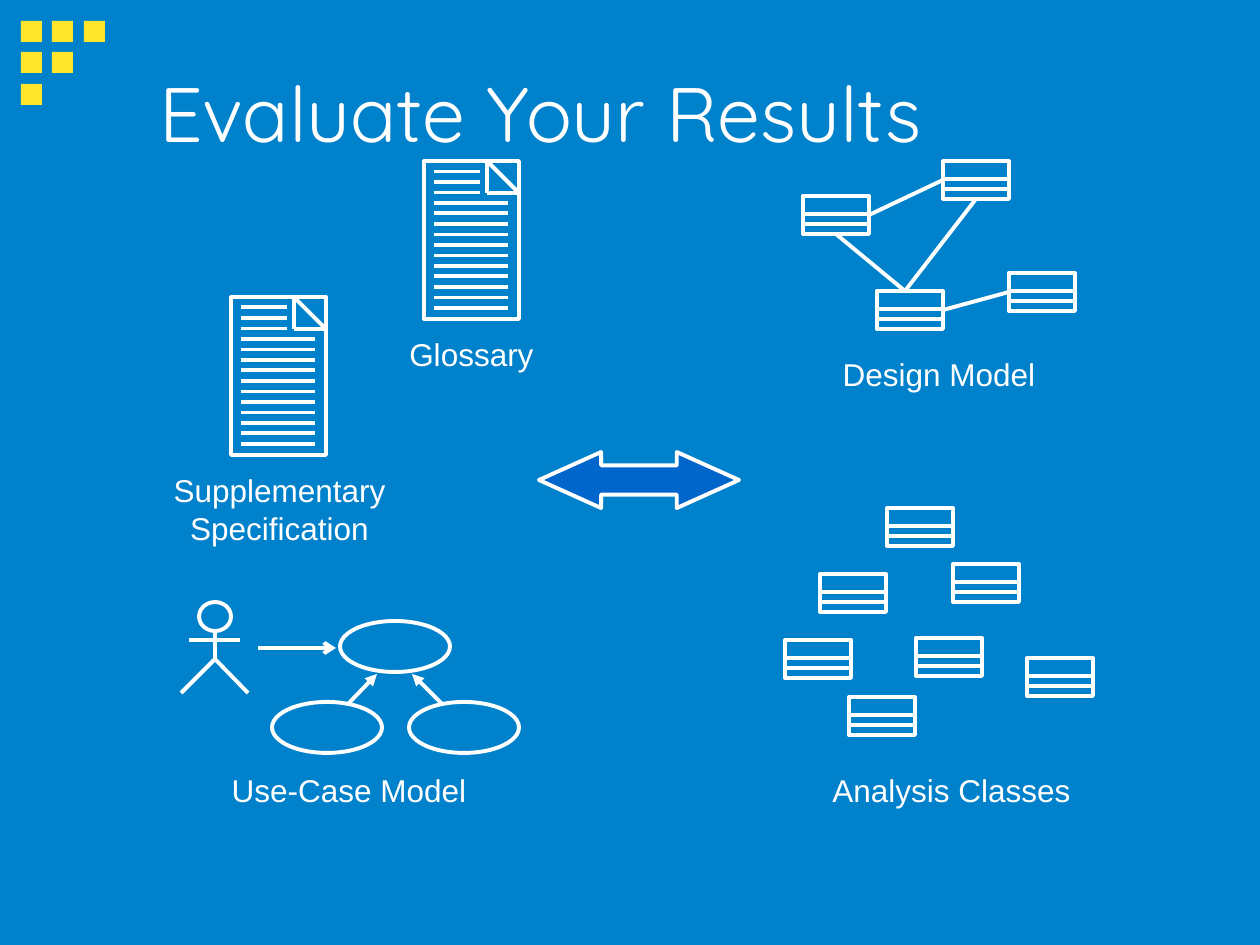
from lxml import etree
from pptx import Presentation
from pptx.dml.color import RGBColor
from pptx.enum.shapes import MSO_CONNECTOR, MSO_SHAPE
from pptx.enum.text import MSO_ANCHOR, MSO_AUTO_SIZE, PP_ALIGN
from pptx.oxml.ns import qn
from pptx.util import Emu, Pt

RECTANGLE = MSO_SHAPE.RECTANGLE
OVAL = MSO_SHAPE.OVAL
DOUBLE_ARROW = MSO_SHAPE.LEFT_RIGHT_ARROW
STRAIGHT = MSO_CONNECTOR.STRAIGHT
CENTER, LEFT = PP_ALIGN.CENTER, PP_ALIGN.LEFT
MIDDLE, TOP = MSO_ANCHOR.MIDDLE, MSO_ANCHOR.TOP
NO_AUTOFIT = MSO_AUTO_SIZE.NONE

TOP_SIDE, LEFT_SIDE, BOTTOM_SIDE, RIGHT_SIDE = range(4)
EMU_PER_PX = 914400 / 126
WHITE, BLUE, ARROW_BLUE, YELLOW = "FFFFFF", "0081CB", "0066CC", "FFE62D"
STROKE = Pt(2.25)

DESIGN_CLASSES = [(803, 196), (943, 161), (877, 291), (1009, 273)]
ANALYSIS_CLASSES = [(820, 574), (953, 564), (887, 508), (1027, 658),
                    (785, 640), (849, 697), (916, 638)]
USE_CASES = [(340, 621), (272, 702), (409, 702)]
DOCUMENTS = [(231, 297), (424, 161)]
LABELS = [
    (830, 349, 218, 50, "Design Model"),
    (820, 765, 263, 50, "Analysis Classes"),
    (161, 465, 237, 88, "Supplementary\nSpecification"),
    (397, 329, 149, 50, "Glossary"),
    (219, 765, 260, 50, "Use-Case Model"),
]


def px(length):
    """Turn pixels into EMU."""
    return Emu(round(length * EMU_PER_PX))


def paint(target, color):
    """Give a fill a solid colour, or none."""
    if color:
        target.solid()
        target.fore_color.rgb = RGBColor.from_string(color)
    else:
        target.background()


def style_shape(shape, fill=None, line=WHITE):
    """Set fill and outline, without a shadow."""
    shape.shadow.inherit = False
    paint(shape.fill, fill)
    paint(shape.line.fill, line)
    if line:
        shape.line.width = STROKE
    return shape


def add_outline(slide, kind, x, y, width, height, **style):
    """Add a preset shape."""
    shape = slide.shapes.add_shape(kind, px(x), px(y), px(width), px(height))
    return style_shape(shape, **style)


def add_line(slide, x1, y1, x2, y2, head=None):
    """Add a straight white line, with an optional arrowhead at its end."""
    line = slide.shapes.add_connector(STRAIGHT, px(x1), px(y1), px(x2), px(y2))
    paint(line.line.fill, WHITE)
    line.line.width = STROKE
    if head:
        etree.SubElement(line.line._ln, qn("a:tailEnd"), type=head)
    etree.SubElement(line._element.spPr, qn("a:effectLst"))
    return line


def write_text(frame, text, size, font, align, anchor=TOP, wrap=False, spacing=None):
    """Write formatted white paragraphs into a text frame."""
    frame.text = text
    frame.word_wrap = wrap
    frame.auto_size = NO_AUTOFIT
    frame.vertical_anchor = anchor
    for paragraph in frame.paragraphs:
        paragraph.alignment = align
        paragraph.line_spacing = spacing
        for run in paragraph.runs:
            run.font.size = Pt(size)
            run.font.name = font
            paint(run.font.fill, WHITE)


def add_text_shadow(run):
    """Cast a small grey shadow behind the letters."""
    effects = etree.Element(qn("a:effectLst"))
    shadow = etree.SubElement(effects, qn("a:outerShdw"), dist="35921", dir="2700000")
    etree.SubElement(shadow, qn("a:srgbClr"), val="808080")
    run.font._element.find(qn("a:solidFill")).addnext(effects)


def add_title(slide, text):
    """Place and format the title."""
    title = slide.shapes.title
    title.left, title.top, title.width, title.height = px(147), px(33), px(1071), px(158)
    write_text(title.text_frame, text, 44, "Quicksand", LEFT, anchor=MIDDLE, wrap=True)
    add_text_shadow(title.text_frame.paragraphs[0].runs[0])


def add_label(slide, x, y, width, height, text):
    """Add a centred caption."""
    box = slide.shapes.add_textbox(px(x), px(y), px(width), px(height))
    write_text(box.text_frame, text, 18, "Arial", CENTER, spacing=Pt(21.6))


def add_corner_squares(slide):
    """Add the triangle of yellow squares."""
    for row in range(3):
        for column in range(3 - row):
            add_outline(slide, RECTANGLE, 21 + column * 63 // 2, 21 + row * 63 // 2,
                        21, 21, fill=YELLOW, line=None)


def add_class(slide, x, y):
    """Add a class box with three compartments."""
    box = add_outline(slide, RECTANGLE, x, y, 66, 38)
    for offset in (18, 28):
        add_line(slide, x, y + offset, x + 66, y + offset)
    return box


def add_design_model(slide):
    """Add the linked design classes."""
    first, second, third, fourth = [add_class(slide, *place) for place in DESIGN_CLASSES]
    link = add_line(slide, 869, 215, 943, 180)
    link.begin_connect(first, RIGHT_SIDE)
    link.end_connect(second, LEFT_SIDE)
    link = add_line(slide, 943, 310, 1009, 292)
    link.begin_connect(third, RIGHT_SIDE)
    link.end_connect(fourth, LEFT_SIDE)
    for upper in (first, second):
        add_line(slide, 905, 291, 905, 234).end_connect(upper, BOTTOM_SIDE)


def add_document(slide, x, y):
    """Add a page with a folded corner and lines of writing."""
    add_outline(slide, RECTANGLE, x, y, 95, 158)
    fold, right, bottom = x + 63, x + 95, y + 32
    add_line(slide, fold, y, right, bottom)
    add_line(slide, fold, y, fold, bottom)
    add_line(slide, right, bottom, fold, bottom)
    for row in range(1, 15):
        level = y + row * 21 / 2
        add_line(slide, x + 10, level, x + (56 if row <= 3 else 84), level)


def add_actor(slide):
    """Add the stick figure."""
    add_outline(slide, OVAL, 199, 602, 32, 29)
    add_line(slide, 215, 632, 215, 659)
    add_line(slide, 189, 640, 240, 640)
    legs = slide.shapes.build_freeform(px(181), px(693))
    legs.add_line_segments([(px(215), px(659)), (px(248), px(693))], close=False)
    style_shape(legs.convert_to_shape())


def add_use_case_model(slide):
    """Add the actor, the use cases and their arrows."""
    add_actor(slide)
    for x, y in USE_CASES:
        add_outline(slide, OVAL, x, y, 110, 51)
    add_line(slide, 258, 648, 336, 648, head="arrow")
    add_line(slide, 348, 704, 377, 674, head="triangle")
    add_line(slide, 442, 704, 412, 674, head="triangle")


def main():
    """Build the slide and save it."""
    deck = Presentation()
    deck.slide_width, deck.slide_height = px(1260), px(945)
    slide = deck.slides.add_slide(deck.slide_layouts[5])
    paint(slide.background.fill, BLUE)
    add_corner_squares(slide)
    add_title(slide, "Evaluate Your Results")
    exchange = add_outline(slide, DOUBLE_ARROW, 539, 452, 200, 56, fill=ARROW_BLUE)
    exchange.adjustments[0], exchange.adjustments[1] = 0.52, 1.11
    add_design_model(slide)
    for place in ANALYSIS_CLASSES:
        add_class(slide, *place)
    for place in DOCUMENTS:
        add_document(slide, *place)
    add_use_case_model(slide)
    for label in LABELS:
        add_label(slide, *label)
    deck.save("out.pptx")


if __name__ == "__main__":
    main()
